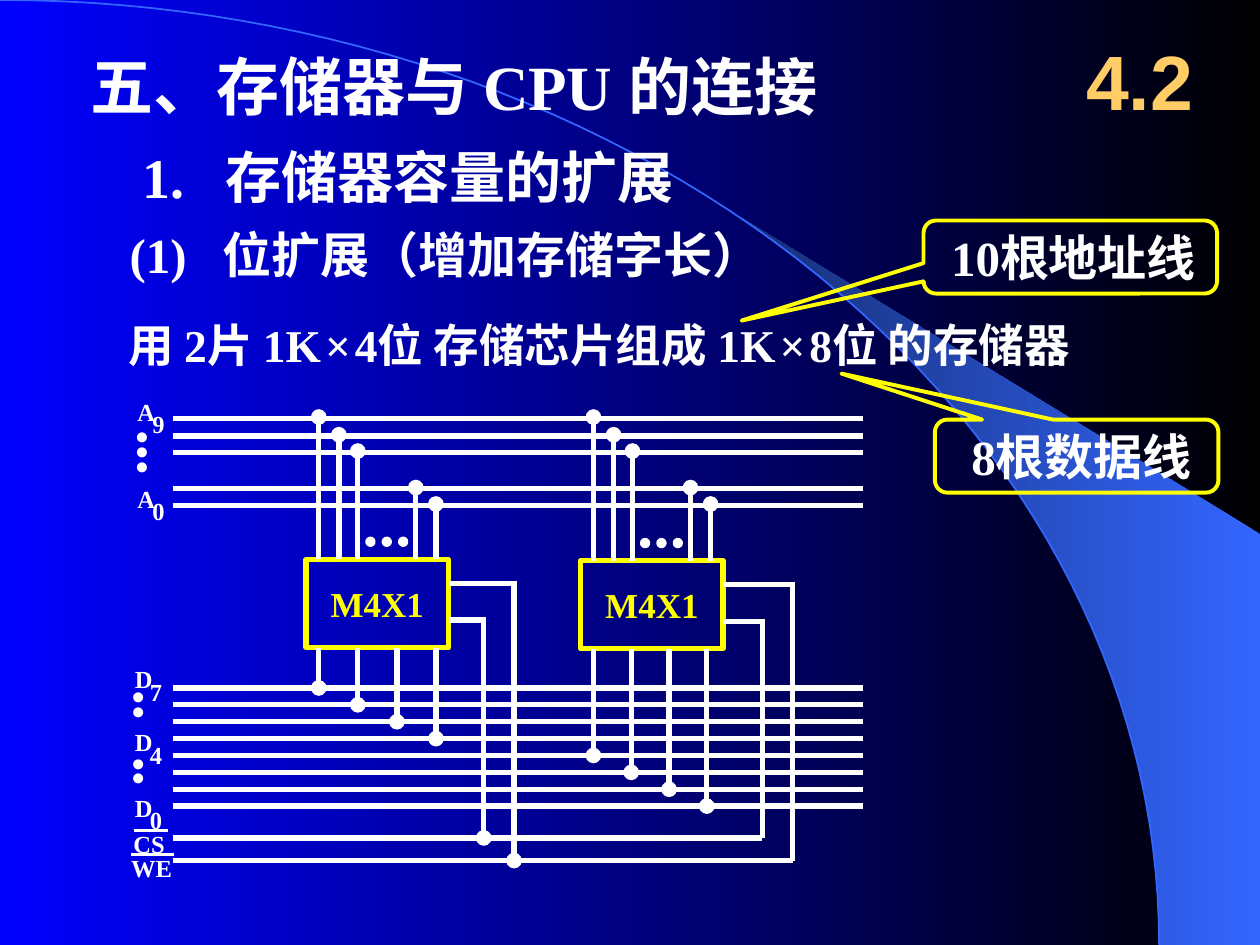
"""Build the slide on widening a memory with two M4X1 chips."""
import math

import pptx
import pptx.dml.color
import pptx.enum.shapes
import pptx.enum.text
import pptx.oxml
import pptx.oxml.ns
import pptx.util

COLORS = {"white": "FFFFFF", "yellow": "FFFF00", "gold": "FFCC66", "black": "000000",
          "blue": "0000FF", "sky": "3366FF", "navy": "172F75"}
SERIF = "Times New Roman"
SHAPES = pptx.enum.shapes.MSO_SHAPE
ALIGN = pptx.enum.text.PP_ALIGN
ANCHOR = pptx.enum.text.MSO_ANCHOR

presentation = pptx.Presentation()
presentation.slide_width = pptx.util.Inches(10)
presentation.slide_height = pptx.util.Inches(7.5)
COLUMN = presentation.slide_width / 10
ROW = presentation.slide_height / 7.5

BUS_LEFT, BUS_WIDTH = 1.37, 5.48
ADDRESS_ROWS = [3.32, 3.46, 3.59, 3.88, 4.01]
DATA_ROWS = [5.46 + 0.134 * index for index in range(8)]
SELECT_ROW, WRITE_ROW = 6.65, 6.83


def color(name):
    """Return the named colour."""
    return pptx.dml.color.RGBColor.from_string(COLORS[name])


def place(left, top, width=0, height=0):
    """Turn grid columns and rows into slide lengths."""
    return round(left * COLUMN), round(top * ROW), round(width * COLUMN), round(height * ROW)


def gradient(fill, first, last):
    """Fill with a gradient that runs from right to left."""
    fill.gradient()
    fill.gradient_angle = 180
    for stop, name, position in zip(fill.gradient_stops, (first, last), (0, 1)):
        stop.color.rgb = color(name)
        stop.position = position


def write(shape, text, size, name="white", font=SERIF, bold=True, align=ALIGN.LEFT,
          anchor=ANCHOR.TOP, inset=(0.1, 0.05), wrap=True, hanging=0):
    """Set and format one paragraph; a bar in the text marks a narrow space."""
    frame = shape.text_frame
    frame.word_wrap = wrap
    frame.auto_size = pptx.enum.text.MSO_AUTO_SIZE.NONE
    frame.vertical_anchor = anchor
    frame.margin_left = frame.margin_right = round(inset[0] * COLUMN)
    frame.margin_top = frame.margin_bottom = round(inset[1] * ROW)
    paragraph = frame.paragraphs[0]
    paragraph.alignment = align
    paragraph.font.size = pptx.util.Pt(size)
    paragraph.font.name = font
    paragraph.font.bold = bold
    paragraph.font.color.rgb = color(name)
    for index, part in enumerate(text.split("|")):
        if index:
            narrow = paragraph.add_run()
            narrow.text = " "
            narrow.font.size = pptx.util.Pt(9)
        paragraph.add_run().text = part
    if hanging:
        properties = paragraph._p.get_or_add_pPr()
        properties.set("marL", str(round(hanging * COLUMN)))
        properties.set("indent", str(-round(hanging * COLUMN)))


def text_box(slide, box, text, size, **options):
    """Add a text box on the grid."""
    shape = slide.shapes.add_textbox(*place(*box))
    write(shape, text, size, **options)
    return shape


def outline(slide, kind, box, line, width, fill=None):
    """Add a preset shape with an outline."""
    shape = slide.shapes.add_shape(kind, *place(*box))
    shape.shadow.inherit = False
    shape.line.color.rgb = color(line)
    shape.line.width = pptx.util.Pt(width)
    if fill:
        shape.fill.solid()
        shape.fill.fore_color.rgb = color(fill)
    else:
        shape.fill.background()
    return shape


def wire(slide, start, end, joined=False, width=3):
    """Add a white line, with a dot at its end if joined."""
    connector = slide.shapes.add_connector(pptx.enum.shapes.MSO_CONNECTOR.STRAIGHT,
                                           *place(*start)[:2], *place(*end)[:2])
    connector.line.color.rgb = color("white")
    connector.line.width = pptx.util.Pt(width)
    if joined:
        tail = pptx.oxml.ns.qn("a:tailEnd")
        connector.line._get_or_add_ln().makeelement(tail, {})
        element = pptx.oxml.parse_xml(f'<a:tailEnd {pptx.oxml.ns.nsdecls("a")} type="oval"/>')
        connector.line._get_or_add_ln().append(element)
    effects = pptx.oxml.parse_xml(f'<a:effectLst {pptx.oxml.ns.nsdecls("a")}/>')
    connector._element.spPr.append(effects)


def outline_path(slide, points, closed):
    """Add a freeform through grid points."""
    corners = [place(*point)[:2] for point in points]
    builder = slide.shapes.build_freeform(*corners[0], scale=1.0)
    builder.add_line_segments(corners[1:], close=closed)
    shape = builder.convert_to_shape()
    shape.shadow.inherit = False
    return shape


def backdrop(slide, width, height):
    """Draw the gradient, the swoosh and its arc across the given size."""
    gradient(slide.background.fill, "black", "blue")
    angles = [math.radians(90 * step / 60) for step in range(61)]
    arc = [(0.92 * width * math.sin(angle), height * (1 - math.cos(angle))) for angle in angles]
    edge = [point for point in arc if point[0] > 0.589 * width]
    corners = [(width, height), (width, 0.565 * height), (0.589 * width, 0.231 * height)]
    swoosh = outline_path(slide, edge + corners, True)
    gradient(swoosh.fill, "sky", "navy")
    swoosh.line.fill.background()
    curve = outline_path(slide, arc, False)
    curve.fill.background()
    curve.line.color.rgb = color("sky")
    curve.line.width = pptx.util.Pt(1)


def headings(slide, left, top):
    """Write the title, section number and three lines from a top left corner."""
    title = slide.shapes.title
    title.left, title.top, title.width, title.height = place(left, top, 6.8, 0.7)
    write(title, "五、存储器与 CPU 的连接", 36)
    slide.shapes._spTree.append(title._element)
    text_box(slide, (left + 7.8, top - 0.16, 1.25, 0.92), "4.2", 44, name="gold", font="Arial",
             align=ALIGN.CENTER, anchor=ANCHOR.MIDDLE)
    text_box(slide, (left + 0.41, top + 0.75, 5.25, 0.64), "1.\t存储器容量的扩展", 32, hanging=0.66)
    text_box(slide, (left + 0.31, top + 1.4, 5.4, 0.57), "(1)\t位扩展（增加存储字长）", 28,
             hanging=0.74)
    text_box(slide, (left + 0.3, top + 2.14, 8.99, 0.54),
             "用 2片 1K|×|4位 存储芯片组成 1K|×|8位 的存储器", 26)


def callout(slide, box, text, pointer, indent):
    """Add a yellow callout with its text."""
    shape = outline(slide, SHAPES.ROUNDED_RECTANGULAR_CALLOUT, box, "yellow", 2.25)
    for index, value in enumerate(pointer):
        shape.adjustments[index] = value
    write(shape, text, 28, anchor=ANCHOR.MIDDLE, inset=(0, 0))
    shape.text_frame.margin_left = round(indent * COLUMN)


def signal(slide, left, top, letter, digit):
    """Label a bus line with a letter and a lowered digit."""
    for text, shift, drop in ((letter, 0, 0), (digit, 0.12, 0.1)):
        text_box(slide, (left + shift, top + drop, 0.14, 0.23), text, 14, inset=(0, 0), wrap=False)


def vertical_dots(slide, left, top, count):
    """Write a column of dots for the lines left out."""
    shape = text_box(slide, (left, top, 0.4, 0.12 + 0.12 * count), "•" * count, 24, bold=False,
                     inset=(0.05, 0))
    shape.text_frame._txBody.bodyPr.set("vert", "eaVert")


def buses(slide, left, width):
    """Draw the address, data and control lines with their labels."""
    for row in ADDRESS_ROWS + DATA_ROWS:
        wire(slide, (left, row), (left + width, row))
    for letter, digit, shift, top in (("A", "9", 0.28, 3.15), ("A", "0", 0.28, 3.84),
                                      ("D", "7", 0.3, 5.27), ("D", "4", 0.3, 5.77),
                                      ("D", "0", 0.3, 6.29)):
        signal(slide, left - shift, top, letter, digit)
    for shift, top, count in ((0.37, 3.42, 3), (0.4, 5.48, 2), (0.4, 6.01, 2)):
        vertical_dots(slide, left - shift, top, count)
    for text, shift, row, bar, length, end in (("CS", 0.31, SELECT_ROW, 6.59, 0.27, 4.68),
                                               ("WE", 0.33, WRITE_ROW, 6.78, 0.34, 4.92)):
        wire(slide, (left, row), (left + end, row))
        text_box(slide, (left - shift, max(bar, row - 0.09) - 0.01, 0.33, 0.23), text, 14,
                 inset=(0, 0), wrap=False)
        wire(slide, (left - shift, bar), (left - shift + length, bar), width=1.5)


def chip(slide, left, top, data_rows, pitch, reach, joined):
    """Draw one chip with its address, data and control wires."""
    width, height = 1.13, 0.7
    body = outline(slide, SHAPES.RECTANGLE, (left, top, width, height), "yellow", 3)
    write(body, "M4X1", 20, name="yellow", align=ALIGN.CENTER, anchor=ANCHOR.MIDDLE, inset=(0, 0))
    for shift, row in zip((0.1, 0.26, 0.41, 0.87, 1.03), ADDRESS_ROWS):
        wire(slide, (left + shift, top), (left + shift, row - 0.01), True)
    for index in range(3):
        outline(slide, SHAPES.OVAL, (left + 0.49 + 0.13 * index, top - 0.16, 0.04, 0.04),
                "white", 3, "white")
    for index, row in enumerate(data_rows):
        column = left + 0.1 + pitch * index
        wire(slide, (column, top + height), (column, row), True)
    for drop, column, row in ((0.19, left + reach + 0.24, WRITE_ROW),
                              (0.48, left + reach, SELECT_ROW)):
        wire(slide, (left + width, top + drop), (column + 0.02, top + drop))
        wire(slide, (column, top + drop), (column, row), joined)


slide = presentation.slides.add_slide(presentation.slide_layouts[5])
backdrop(slide, 10, 7.5)
headings(slide, 0.62, 0.33)
callout(slide, (7.33, 1.75, 2.33, 0.58), "10根地址线", (-1.12, 0.87, 0.17), 0.19)
callout(slide, (7.42, 3.33, 2.25, 0.58), "8根数据线", (-0.83, -1.13, 0.17), 0.26)
buses(slide, BUS_LEFT, BUS_WIDTH)
chip(slide, 2.43, 4.44, DATA_ROWS[:4], 0.31, 1.41, True)
chip(slide, 4.61, 4.45, DATA_ROWS[4:], 0.3, 1.44, False)
presentation.save("out.pptx")
